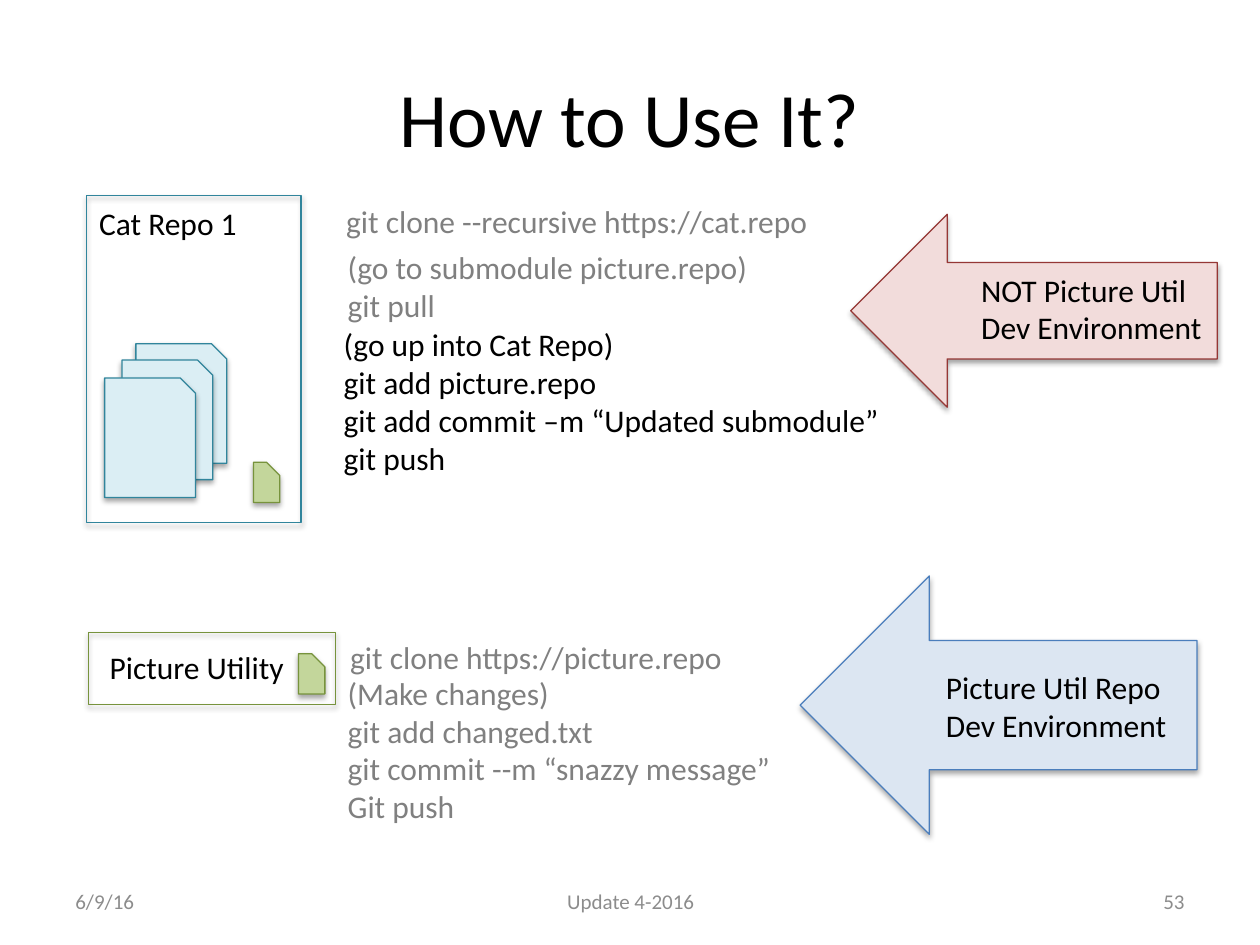
from dataclasses import dataclass
from typing import Optional

from lxml.etree import SubElement
from pptx import Presentation
from pptx.dml.color import RGBColor
from pptx.enum.shapes import MSO_SHAPE as Preset
from pptx.enum.text import MSO_ANCHOR as Anchor, MSO_AUTO_SIZE as AutoSize, PP_ALIGN as Align
from pptx.oxml.ns import qn
from pptx.util import Cm, Pt

BLACK, GRAY, FOOTER_GRAY = "000000", "808080", "8C8C8C"
TEAL, GREEN = "31859C", "77933C"
LINE_HEIGHT = 0.76


@dataclass
class Figure:
    preset: Preset
    left: float
    top: float
    width: float
    height: float
    line: str
    fill: Optional[str] = None
    snip: Optional[float] = None


@dataclass
class Label:
    left: float
    top: float
    width: float
    lines: tuple[str, ...]
    color: str = BLACK


def sheet(left: float, top: float) -> Figure:
    return Figure(Preset.SNIP_1_RECTANGLE, left, top, 1.83, 2.41, TEAL, "DBEEF4")


def submodule_file(left: float, top: float) -> Figure:
    return Figure(Preset.SNIP_1_RECTANGLE, left, top, 0.53, 0.81, GREEN, "C3D69B", 0.5)


def frame(left: float, top: float, width: float, height: float, line: str) -> Figure:
    return Figure(Preset.SNIP_1_RECTANGLE, left, top, width, height, line, snip=0)


ITEMS = [
    sheet(2.74, 6.93),
    frame(1.75, 3.94, 4.32, 6.6, TEAL),
    Label(1.75, 3.99, 3.33, ("Cat Repo 1",)),
    sheet(2.46, 7.26),
    sheet(2.11, 7.62),
    submodule_file(6.02, 13.18),
    frame(1.78, 12.75, 4.98, 1.45, GREEN),
    Label(1.96, 12.93, 4.06, ("Picture Utility",)),
    submodule_file(5.11, 9.32),
    Label(6.73, 3.94, 9.91, ("git clone --recursive https://cat.repo",), GRAY),
    Label(6.81, 12.73, 8.08, ("git clone https://picture.repo",), GRAY),
    Label(6.76, 13.46, 9.12, ("(Make changes)", "git add changed.txt",
                              "git commit --m “snazzy message”", "Git push"), GRAY),
    Label(6.76, 4.88, 8.66, ("(go to submodule picture.repo)", "git pull"), GRAY),
    Label(6.68, 6.43, 11.4, ("(go up into Cat Repo)", "git add picture.repo",
                             "git add commit –m “Updated submodule”", "git push")),
    Figure(Preset.LEFT_ARROW, 16.13, 11.61, 8, 5.21, "4B7EBC", "DCE6F2"),
    Label(18.82, 13.34, 5, ("Picture Util Repo", "Dev Environment")),
    Figure(Preset.LEFT_ARROW, 17.15, 4.32, 7.39, 3.89, "953735", "F2DCDB"),
    Label(19.53, 5.33, 5, ("NOT Picture Util", "Dev Environment")),
]

FOOTERS = [
    (1.27, 5.92, "6/9/16", Align.LEFT),
    (8.69, 8.05, "Update 4-2016", Align.CENTER),
    (18.21, 5.92, "53", Align.RIGHT),
]


def rgb(color: str) -> RGBColor:
    return RGBColor.from_string(color)


def write(box, lines: tuple[str, ...], size: float, color: str, align: Align) -> None:
    text_frame = box.text_frame
    text_frame.text = "\n".join(lines)
    for para in text_frame.paragraphs:
        para.alignment = align
        for name, value in {"name": "Calibri", "size": Pt(size)}.items():
            setattr(para.font, name, value)
        para.font.color.rgb = rgb(color)


def add_shadow(shape) -> None:
    """Give the shape a soft black shadow that falls straight down."""
    shape.shadow.inherit = False
    effects = shape.element.spPr.find(qn("a:effectLst"))
    shadow = SubElement(effects, qn("a:outerShdw"), blurRad=str(Pt(3.1)),
                        dist=str(Pt(1.8)), dir="5400000", rotWithShape="0")
    tone = SubElement(shadow, qn("a:srgbClr"), val=BLACK)
    SubElement(tone, qn("a:alpha"), val="35000")


def draw_figure(page, figure: Figure) -> None:
    shape = page.shapes.add_shape(figure.preset, Cm(figure.left), Cm(figure.top),
                                  Cm(figure.width), Cm(figure.height))
    if figure.snip is not None:
        shape.adjustments[0] = figure.snip
    if figure.fill:
        shape.fill.solid()
        shape.fill.fore_color.rgb = rgb(figure.fill)
    else:
        shape.fill.background()
    shape.line.color.rgb = rgb(figure.line)
    shape.line.width = Pt(0.75)
    add_shadow(shape)


def draw_label(page, label: Label) -> None:
    height = 0.26 + LINE_HEIGHT * len(label.lines)
    box = page.shapes.add_textbox(Cm(label.left), Cm(label.top), Cm(label.width), Cm(height))
    box.text_frame.word_wrap = False
    box.text_frame.auto_size = AutoSize.SHAPE_TO_FIT_TEXT
    write(box, label.lines, 18, label.color, Align.LEFT)


def draw_footer(page, left: float, width: float, text: str, align: Align) -> None:
    box = page.shapes.add_textbox(Cm(left), Cm(17.65), Cm(width), Cm(1.02))
    box.text_frame.word_wrap = True
    box.text_frame.vertical_anchor = Anchor.MIDDLE
    write(box, (text,), 12, FOOTER_GRAY, align)


def main() -> None:
    deck = Presentation()
    deck.slide_width, deck.slide_height = Cm(25.4), Cm(19.05)
    page = deck.slides.add_slide(deck.slide_layouts[5])

    title = page.shapes.title
    place = {"left": 1.27, "top": 0.76, "width": 22.86, "height": 3.18}
    for name, value in place.items():
        setattr(title, name, Cm(value))
    title.text_frame.vertical_anchor = Anchor.MIDDLE
    write(title, ("How to Use It?",), 44, BLACK, Align.CENTER)

    for footer in FOOTERS:
        draw_footer(page, *footer)
    for item in ITEMS:
        if isinstance(item, Figure):
            draw_figure(page, item)
        else:
            draw_label(page, item)

    deck.save("out.pptx")


if __name__ == "__main__":
    main()
